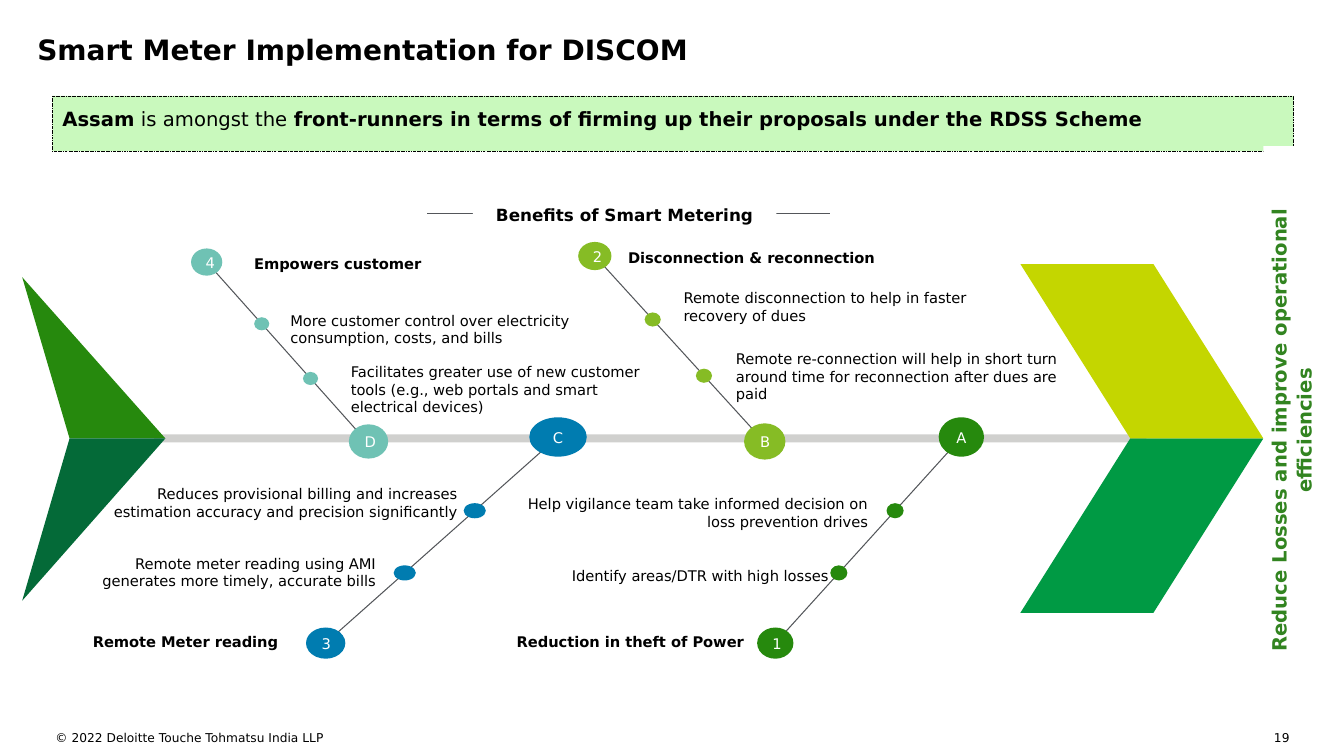
from dataclasses import dataclass

from lxml import etree
from pptx import Presentation, util as u
from pptx.dml.color import RGBColor
from pptx.enum import dml, shapes, text
from pptx.oxml.ns import qn

COLUMNS, ROWS = 133.3, 75
SLIDE_WIDTH, SLIDE_HEIGHT = u.Inches(13.33), u.Inches(7.5)
LEFT, CENTER, RIGHT = text.PP_ALIGN.LEFT, text.PP_ALIGN.CENTER, text.PP_ALIGN.RIGHT
TOP, MIDDLE, BOTTOM = text.MSO_ANCHOR.TOP, text.MSO_ANCHOR.MIDDLE, text.MSO_ANCHOR.BOTTOM


@dataclass(frozen=True)
class Theme:
    font: str = "DejaVu Sans"
    title: float = 20
    banner: float = 14
    heading: float = 12
    body: float = 10.5
    footer: float = 8.7
    black: str = "000000"
    white: str = "FFFFFF"
    mint: str = "C9F9BD"
    spine: str = "D0D0CE"
    rule: str = "53565A"
    goal: str = "328420"
    green: str = "26890D"
    forest: str = "046A38"
    emerald: str = "009A44"
    lime: str = "C4D600"
    teal: str = "6FC2B4"
    leaf: str = "86BC25"
    blue: str = "007CB0"


THEME = Theme()


@dataclass(frozen=True)
class Bone:
    """One rib: tip and foot end its line, joint is the lettered circle on the spine."""
    letter: str
    number: str
    colour: str
    tip: tuple
    foot: tuple
    joint: tuple
    joint_size: tuple
    tip_size: tuple
    dot_size: tuple
    align: int
    labels: tuple  # left, top, width, height, wording; the heading comes first


DOT_SHARES = (0.35, 0.66)
BONES = (
    Bone("D", "4", THEME.teal, (20.5, 26), (36.1, 43.5), (36.55, 43.8),
         (3.9, 3.4), (3.1, 2.7), (1.5, 1.3), LEFT, (
             (25.2, 25.3, 20.2, 1.8, "Empowers customer"),
             (28.8, 30.9, 28.9, 3.5,
              "More customer control over electricity consumption, costs, and bills"),
             (34.8, 36, 29.4, 5.3, "Facilitates greater use of new customer tools "
              "(e.g., web portals and smart electrical devices)"))),
    Bone("B", "2", THEME.leaf, (59, 25.4), (75.4, 43.4), (75.85, 43.8),
         (4.1, 3.6), (3.3, 2.8), (1.6, 1.4), LEFT, (
             (62.3, 24.7, 29.1, 1.8, "Disconnection & reconnection"),
             (67.8, 28.7, 32.3, 3.5, "Remote disconnection to help in faster recovery of dues"),
             (73, 34.7, 32.3, 5.3, "Remote re-connection will help in short turn "
              "around time for reconnection after dues are paid"))),
    Bone("C", "3", THEME.blue, (32.3, 63.8), (54.7, 43.9), (55.35, 43.35),
         (5.7, 3.9), (3.9, 3.1), (2.2, 1.5), RIGHT, (
             (7.9, 62.8, 19.7, 1.8, "Remote Meter reading"),
             (11.1, 48.1, 34.3, 3.5, "Reduces provisional billing and increases "
              "estimation accuracy and precision significantly"),
             (8.3, 55, 29, 3.5,
              "Remote meter reading using AMI generates more timely, accurate bills"))),
    Bone("A", "1", THEME.green, (76.9, 63.8), (94.9, 43.9), (95.35, 43.35),
         (4.5, 3.9), (3.6, 3.1), (1.7, 1.5), RIGHT, (
             (49.6, 62.8, 24.2, 1.8, "Reduction in theft of Power"),
             (51.8, 49.1, 34.3, 3.5,
              "Help vigilance team take informed decision on loss prevention drives"),
             (50.9, 56.2, 31.3, 1.8, "Identify areas/DTR with high losses"))),
)


def across(columns):
    return round(SLIDE_WIDTH * columns / COLUMNS)


def down(rows):
    return round(SLIDE_HEIGHT * rows / ROWS)


def place(left, top, width, height):
    return across(left), down(top), across(width), down(height)


def rgb(colour):
    return RGBColor.from_string(colour)


def write(box, pieces, size, colour=THEME.black, align=LEFT, anchor=TOP,
          inset=(0, 0), spacing=1.0):
    """Fill a box with one paragraph of (wording, bold) pieces."""
    frame = box.text_frame
    frame.word_wrap = True
    frame.vertical_anchor = anchor
    frame.margin_left = frame.margin_right = across(inset[0])
    frame.margin_top = frame.margin_bottom = down(inset[1])
    para = frame.paragraphs[0]
    para.alignment = align
    para.line_spacing = spacing
    for wording, bold in pieces:
        span = para.add_run()
        span.text = wording
        span.font.name = THEME.font
        span.font.size = u.Pt(size)
        span.font.bold = bold
        span.font.color.rgb = rgb(colour)


def add_label(page, area, wording, size=THEME.body, bold=False, align=LEFT):
    box = page.shapes.add_textbox(*place(*area))
    write(box, [(wording, bold)], size, align=align)


def paint(shape, colour):
    shape.shadow.inherit = False
    shape.fill.solid()
    shape.fill.fore_color.rgb = rgb(colour)
    shape.line.fill.background()
    return shape


def add_block(page, area, colour, kind=shapes.MSO_SHAPE.RECTANGLE):
    return paint(page.shapes.add_shape(kind, *place(*area)), colour)


def add_disc(page, centre, size, colour, mark=None):
    area = (centre[0] - size[0] / 2, centre[1] - size[1] / 2, *size)
    disc = add_block(page, area, colour, shapes.MSO_SHAPE.OVAL)
    if mark:
        write(disc, [(mark, False)], THEME.body, THEME.white, CENTER, MIDDLE, (1, 1), 1.06)


def add_rule(page, start, end):
    rule = page.shapes.add_connector(
        shapes.MSO_CONNECTOR.STRAIGHT,
        across(start[0]), down(start[1]), across(end[0]), down(end[1]))
    rule.line.width = u.Pt(0.75)
    rule.line.color.rgb = rgb(THEME.rule)
    etree.SubElement(rule._element.spPr, qn("a:effectLst"))


def add_tail_fin(page, tip_row, colour):
    points = [(across(x), down(y)) for x, y in ((2.2, tip_row), (16.4, 43.5), (6.9, 43.5))]
    outline = page.shapes.build_freeform(*points[0], scale=1.0)
    outline.add_line_segments(points[1:], close=True)
    paint(outline.convert_to_shape(), colour)


def add_head_half(page, top, colour, flipped):
    half = add_block(page, (101.2, top, 24.1, 17.3), colour, shapes.MSO_SHAPE.PARALLELOGRAM)
    half.adjustments[0] = 0.63
    if flipped:
        half._element.spPr.get_or_add_xfrm().set("flipV", "1")


def add_bone(page, bone):
    add_rule(page, bone.foot, bone.tip)
    add_disc(page, bone.joint, bone.joint_size, bone.colour, bone.letter)
    add_disc(page, bone.tip, bone.tip_size, bone.colour, bone.number)
    for share in DOT_SHARES:
        centre = [a + (b - a) * share for a, b in zip(bone.tip, bone.foot)]
        add_disc(page, centre, bone.dot_size, bone.colour)
    for index, (*area, wording) in enumerate(bone.labels):
        add_label(page, area, wording, bold=index == 0, align=bone.align)


def add_title(page, wording):
    title = page.shapes.title
    title.left, title.top, title.width, title.height = place(3.7, 3, 123.1, 3.7)
    write(title, [(wording, True)], THEME.title, anchor=MIDDLE)


def add_banner(page):
    banner = add_block(page, (5.2, 9.5, 123.1, 5.5), THEME.mint)
    banner.line.color.rgb = rgb(THEME.black)
    banner.line.width = u.Pt(0.25)
    banner.line.dash_style = dml.MSO_LINE.LONG_DASH_DOT
    write(banner, [("Assam", True), (" is amongst the ", False),
                   ("front-runners in terms of firming up their proposals "
                    "under the RDSS Scheme", True)],
          THEME.banner, inset=(1, 1), spacing=1.06)


def add_goal(page):
    goal = add_block(page, (125.3, 14.5, 5.4, 56.4), THEME.white)
    write(goal, [("Reduce Losses and improve operational efficiencies", True)],
          THEME.banner, THEME.goal, CENTER, MIDDLE, (1, 1), 1.06)
    goal.text_frame._txBody.bodyPr.set("vert", "vert270")


def add_heading(page):
    add_rule(page, (42.4, 21.2), (82.3, 21.2))
    heading = add_block(page, (46.9, 21, 30.1, 1.8), THEME.white)
    write(heading, [("Benefits of Smart Metering", True)], THEME.heading,
          align=CENTER, anchor=BOTTOM, inset=(0, 0.5))


def main():
    deck = Presentation()
    deck.slide_width, deck.slide_height = SLIDE_WIDTH, SLIDE_HEIGHT
    page = deck.slides.add_slide(deck.slide_layouts.get_by_name("Title Only"))
    add_title(page, "Smart Meter Implementation for DISCOM")
    add_banner(page)
    add_block(page, (15.3, 43.1, 98.4, 0.8), THEME.spine)
    add_tail_fin(page, 27.5, THEME.green)
    add_tail_fin(page, 59.6, THEME.forest)
    for bone in BONES:
        add_bone(page, bone)
    add_head_half(page, 43.5, THEME.emerald, flipped=False)
    add_head_half(page, 26.2, THEME.lime, flipped=True)
    add_goal(page)
    add_heading(page)
    add_label(page, (5.5, 72.5, 58.6, 2.2), "© 2022 Deloitte Touche Tohmatsu India LLP",
              THEME.footer)
    add_label(page, (124.5, 72.5, 3.4, 1.1), "19", THEME.footer, align=RIGHT)
    deck.save("out.pptx")


if __name__ == "__main__":
    main()
